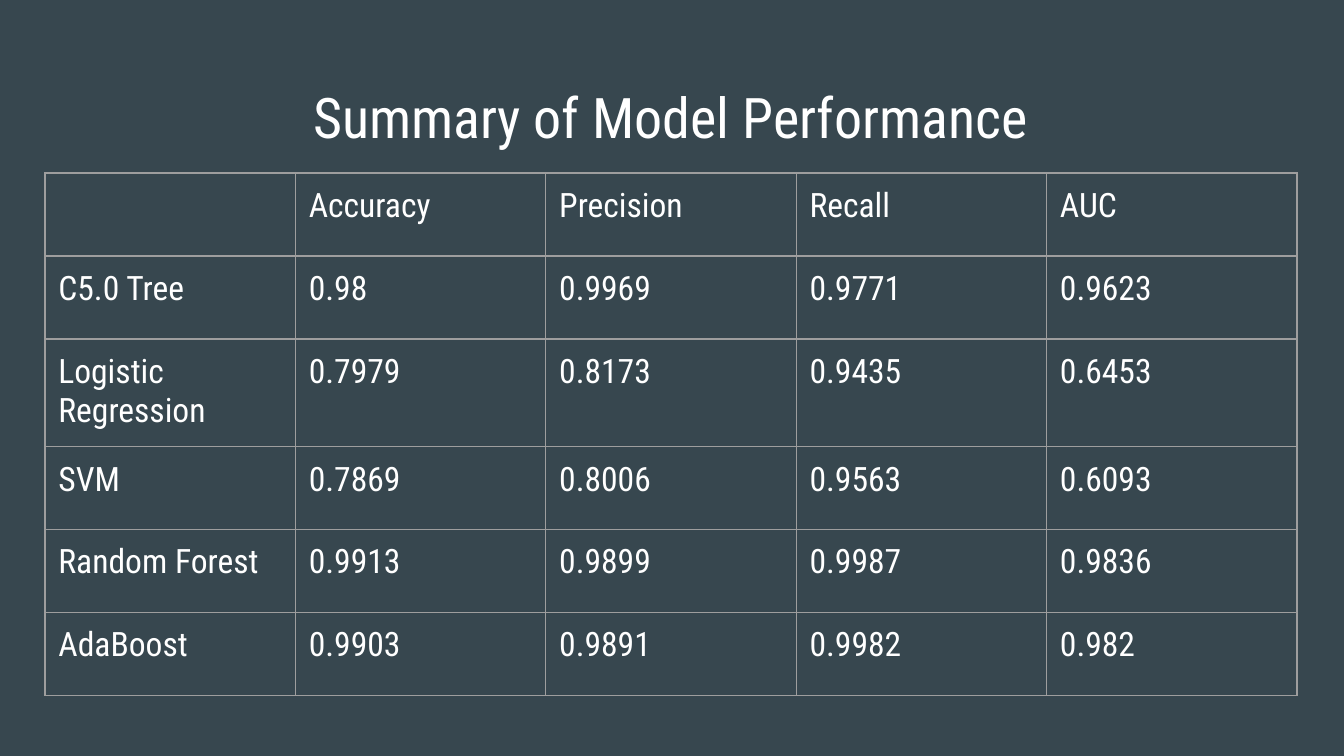
"""Build the model performance summary slide."""
from dataclasses import dataclass

from lxml import etree
from pptx import Presentation, util as u
from pptx.dml.color import RGBColor
from pptx.enum import text
from pptx.oxml.ns import qn

PX = u.Inches(1) / 134.4


def px(n):
    return u.Emu(round(n * PX))


@dataclass(frozen=True)
class Theme:
    background: str = "37474F"
    ink: str = "FFFFFF"
    grid: str = "9E9E9E"
    font: str = "Roboto Condensed"
    title_size: int = 30
    cell_size: int = 18
    grid_width: float = 0.75
    inset: float = 0.1


class Deck:
    def __init__(self, theme):
        self.theme = theme
        self.prs = Presentation()
        self.prs.slide_width, self.prs.slide_height = px(1344), px(756)
        self.s = self.prs.slides.add_slide(self.prs.slide_layouts[6])
        fill = self.s.background.fill
        fill.solid()
        fill.fore_color.rgb = RGBColor.from_string(theme.background)

    def style(self, p, size):
        p.font.name = self.theme.font
        p.font.size = u.Pt(size)
        p.font.color.rgb = RGBColor.from_string(self.theme.ink)

    def title(self, words, x, y, w, h):
        tf = self.s.shapes.add_textbox(px(x), px(y), px(w), px(h)).text_frame
        tf.word_wrap = True
        tf.vertical_anchor = text.MSO_ANCHOR.TOP
        tf.margin_top, tf.margin_bottom = px(17), 0
        p = tf.paragraphs[0]
        p.text = words
        p.alignment = text.PP_ALIGN.CENTER
        self.style(p, self.theme.title_size)

    def borders(self, cell):
        tcPr = cell._tc.get_or_add_tcPr()
        for i, side in enumerate(("lnL", "lnR", "lnT", "lnB")):
            ln = etree.Element(qn(f"a:{side}"), w=str(u.Pt(self.theme.grid_width)))
            fill = etree.SubElement(ln, qn("a:solidFill"))
            etree.SubElement(fill, qn("a:srgbClr"), val=self.theme.grid)
            tcPr.insert(i, ln)

    def table(self, rows, x, y, w, row_h):
        shape = self.s.shapes.add_table(
            len(rows), len(rows[0]), px(x), px(y), px(w), px(row_h * len(rows)))
        table = shape.table
        table.first_row = table.horz_banding = False
        inset = u.Inches(self.theme.inset)
        for r, row in enumerate(rows):
            for c, value in enumerate(row):
                cell = table.cell(r, c)
                cell.fill.background()
                cell.margin_left = cell.margin_right = inset
                cell.margin_top = cell.margin_bottom = inset
                p = cell.text_frame.paragraphs[0]
                p.text = value
                self.style(p, self.theme.cell_size)
                self.borders(cell)


SCORES = [
    ("", "Accuracy", "Precision", "Recall", "AUC"),
    ("C5.0 Tree", "0.98", "0.9969", "0.9771", "0.9623"),
    ("Logistic Regression", "0.7979", "0.8173", "0.9435", "0.6453"),
    ("SVM", "0.7869", "0.8006", "0.9563", "0.6093"),
    ("Random Forest", "0.9913", "0.9899", "0.9987", "0.9836"),
    ("AdaBoost", "0.9903", "0.9891", "0.9982", "0.982"),
]

deck = Deck(Theme())
deck.title("Summary of Model Performance", 45, 66, 1252, 85)
deck.table(SCORES, 45, 173, 1252, 83)
deck.prs.save("out.pptx")
